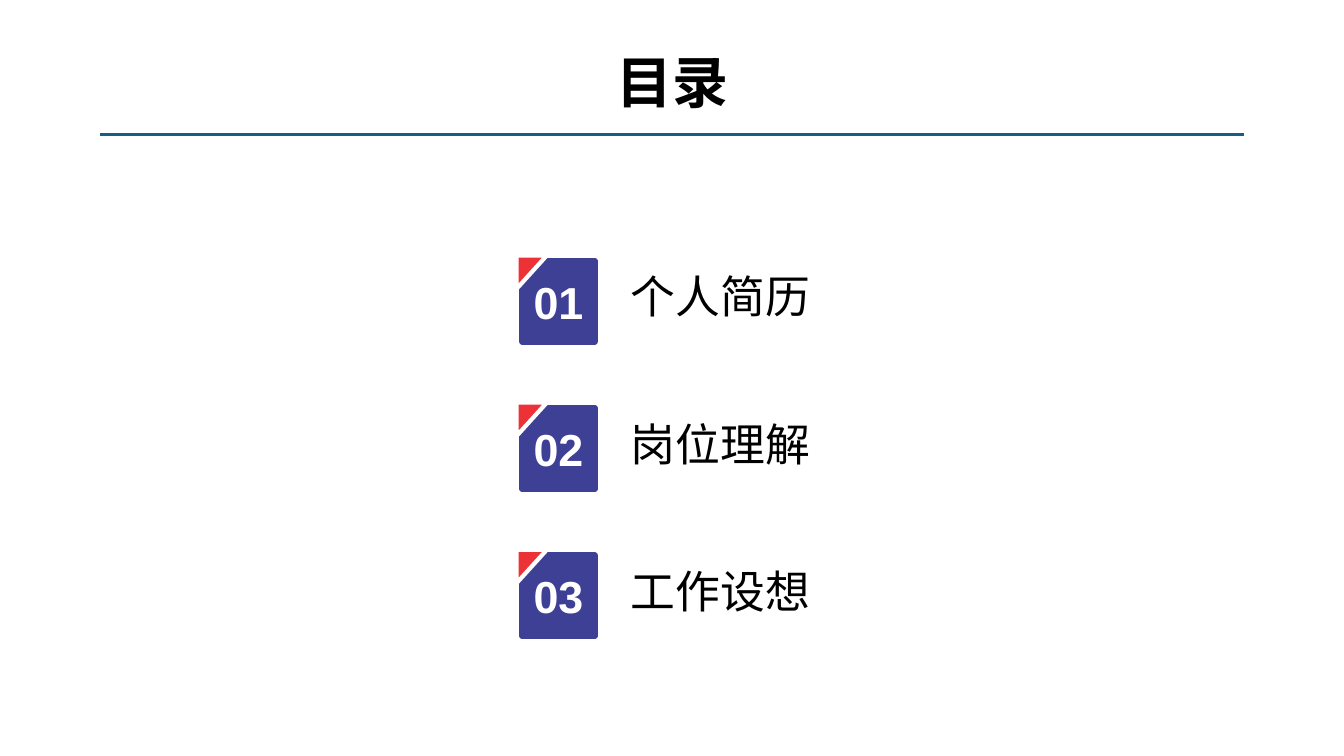
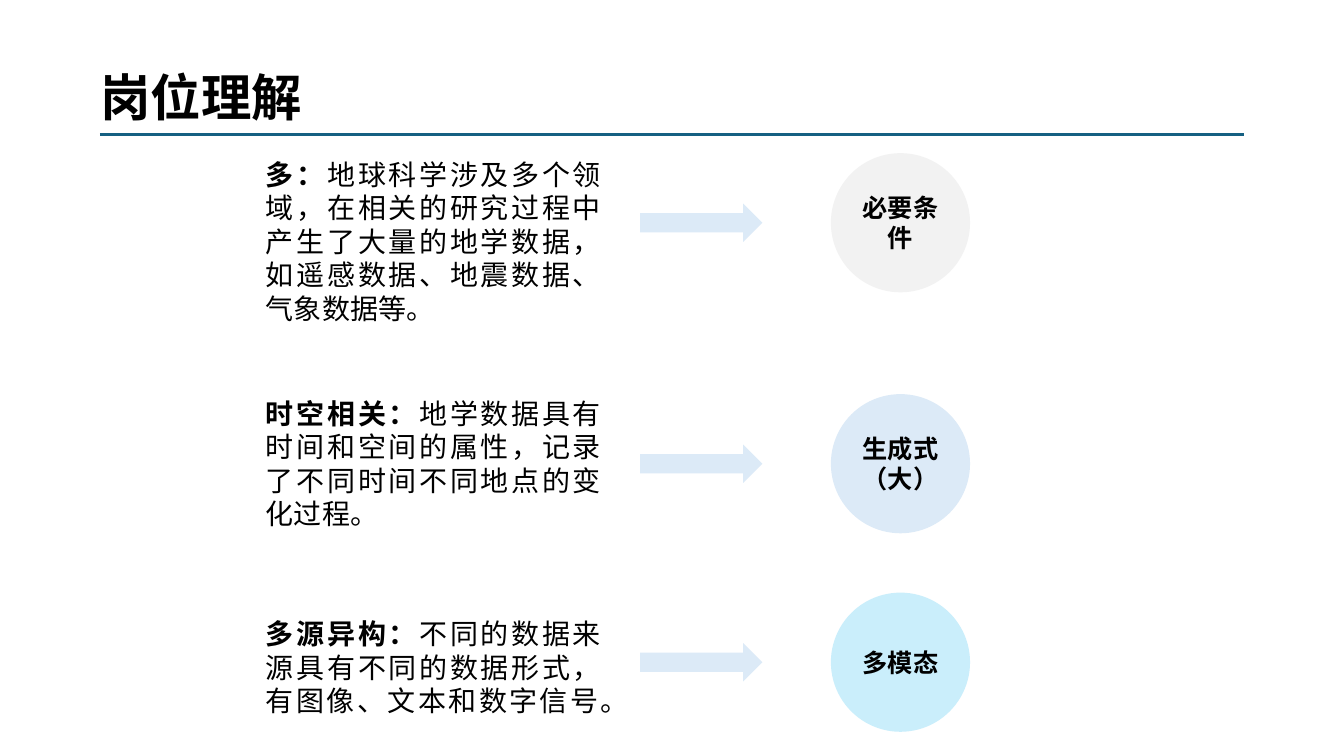
from lxml import etree
from pptx import Presentation
from pptx.dml.color import RGBColor
from pptx.enum import shapes, text
from pptx.oxml import ns
from pptx.util import Pt

HUES = {
    "ink": "000000", "white": "FFFFFF", "rule": "156082", "navy": "3E4095",
    "red": "ED3237", "pale": "DCEAF7", "grey": "F2F2F2", "cyan": "CAEEFB",
}
HAN = "Noto Sans CJK SC"
KIND = shapes.MSO_SHAPE
SIDE = text.PP_ALIGN


def hue(name):
    return RGBColor.from_string(HUES[name])


def write(para, words, size=20, bold=False, color="ink", font=HAN):
    """Add one formatted run to a paragraph."""
    run = para.add_run()
    run.text = words
    face = run.font
    face.name, face.size, face.bold = font, Pt(size), bold
    face.color.rgb = hue(color)
    # East Asian glyphs take their own typeface entry
    latin = run._r.get_or_add_rPr().find(ns.qn("a:latin"))
    east = etree.Element(ns.qn("a:ea"), typeface=font)
    latin.addnext(east)


class Deck:
    def __init__(self):
        self.file = Presentation()
        self.file.slide_width, self.file.slide_height = Pt(960), Pt(540)
        self.pool = None

    def page(self):
        """Start a slide with the shared rule under its title."""
        slide = self.file.slides.add_slide(self.file.slide_layouts[6])
        self.pool = self.root = slide.shapes
        line = self.pool.add_connector(
            shapes.MSO_CONNECTOR.STRAIGHT, Pt(71.3), Pt(95.8), Pt(888.5), Pt(95.8))
        line.line.color.rgb = hue("rule")
        line.line.width = Pt(2.25)
        etree.SubElement(line._element.spPr, ns.qn("a:effectLst"))

    def group(self):
        self.pool = self.root.add_group_shape().shapes

    def box(self, x, y, w, h, *runs, align=SIDE.LEFT, inset=True):
        """Text box; each run is a (words, format) pair."""
        frame = self.pool.add_textbox(Pt(x), Pt(y), Pt(w), Pt(h)).text_frame
        frame.word_wrap = True
        if not inset:
            frame.margin_left = frame.margin_right = 0
            frame.margin_top = frame.margin_bottom = 0
        para = frame.paragraphs[0]
        para.alignment = align
        for words, form in runs:
            write(para, words, **form)

    def title(self, words, x, y, w, size):
        self.box(x, y, w, size * 1.4, (words, {"size": size, "bold": True}),
                 align=SIDE.CENTER)

    def shape(self, kind, x, y, w, h, fill, edge=None, width=1, words="", **form):
        item = self.pool.add_shape(kind, Pt(x), Pt(y), Pt(w), Pt(h))
        item.shadow.inherit = False
        item.fill.solid()
        item.fill.fore_color.rgb = hue(fill)
        if edge:
            item.line.color.rgb = hue(edge)
            item.line.width = Pt(width)
        else:
            item.line.fill.background()
        if words:
            frame = item.text_frame
            frame.word_wrap = True
            frame.vertical_anchor = text.MSO_ANCHOR.MIDDLE
            frame.paragraphs[0].alignment = SIDE.CENTER
            write(frame.paragraphs[0], words, bold=True, **form)
        return item

    def entry(self, num, words, y):
        """Numbered agenda line with a red corner on its tag."""
        self.group()
        self.box(450.7, y + 5.7, 140, 38.8, (words, {"size": 32}), inset=False)
        self.shape(KIND.RECTANGLE, 373, y, 51.8, 57.6, "navy", "navy", 4.5,
                   words=f"{num:02}", size=32, color="white", font="Arial")
        flag = self.shape(KIND.RIGHT_TRIANGLE, 367.9, y - 2.9, 23.8, 21.6,
                          "red", "white", 3)
        flag.rotation = 90

    def point(self, head, body, top, mid, goal, fill):
        """Paragraph, arrow and circle; the last two centre on mid."""
        self.box(182.9, top, 253.4, 128, (head, {"bold": True}), (body, {}),
                 align=SIDE.JUSTIFY)
        self.shape(KIND.RIGHT_ARROW, 457.2, mid - 13.7, 87.4, 27.4, "pale")
        self.shape(KIND.FLOWCHART_CONNECTOR, 593.5, mid - 49.7, 99.4, 99.4, fill,
                   words=goal, size=18)


def main():
    deck = Deck()

    # Agenda
    deck.page()
    deck.title("目录", 409, 30.2, 142.6, 40)
    for i, words in enumerate(["个人简历", "岗位理解", "工作设想"]):
        deck.entry(i + 1, words, 186.5 + i * 105.1)

    # Understanding of the post
    deck.page()
    deck.title("岗位理解", 0, 43.9, 287.3, 36)
    points = [
        ("多：", "地球科学涉及多个领域，在相关的研究过程中产生了大量的地学数据，"
         "如遥感数据、地震数据、气象数据等。", 108.7, 159.1, "必要条件", "grey"),
        ("时空相关：", "地学数据具有时间和空间的属性，记录了不同时间不同地点的变化过程。",
         279.4, 331.2, "生成式（大）", "pale"),
        ("多源异构：", "不同的数据来源具有不同的数据形式，有图像、文本和数字信号。",
         437, 473, "多模态", "cyan"),
    ]
    for point in points:
        deck.point(*point)

    deck.file.save("out.pptx")


if __name__ == "__main__":
    main()
